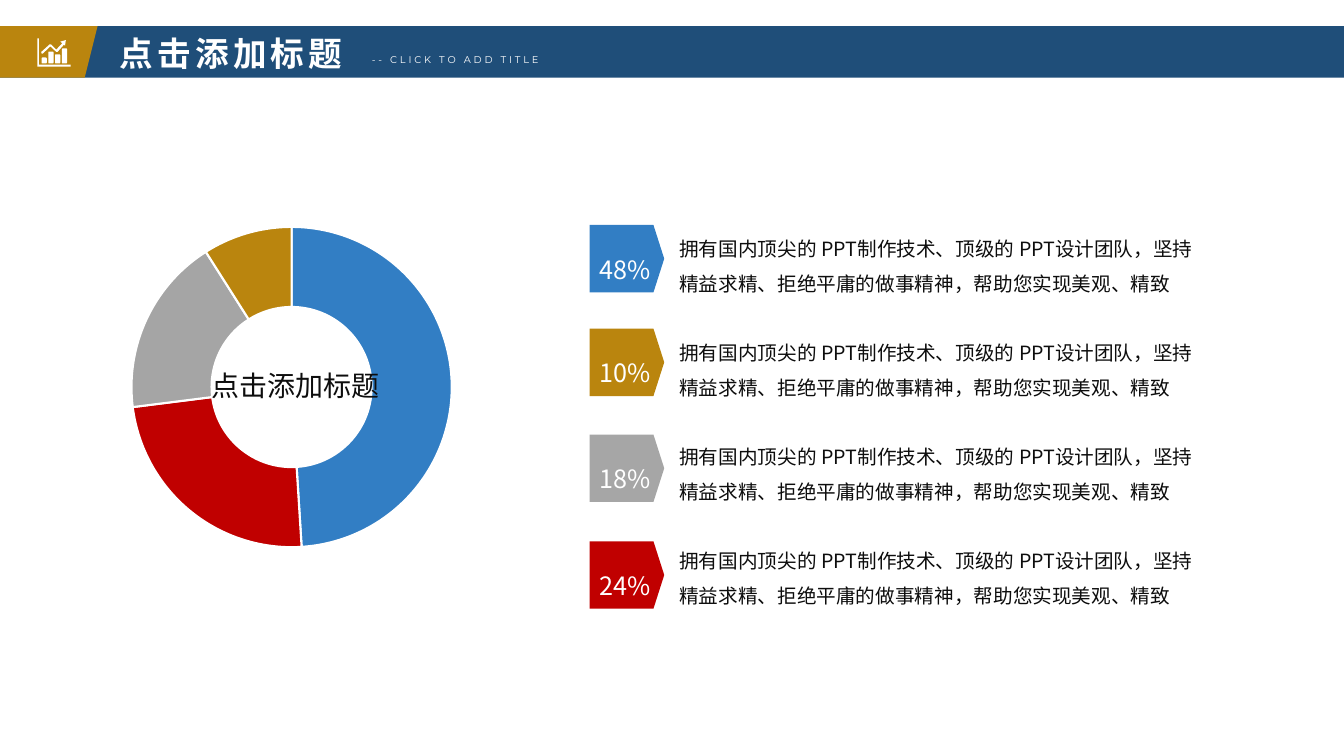
from lxml.etree import SubElement
from pptx import Presentation
from pptx.chart.data import CategoryChartData
from pptx.dml.color import RGBColor
from pptx.enum.chart import XL_CHART_TYPE as Chart
from pptx.enum.shapes import MSO_SHAPE as Shape
from pptx.enum.text import MSO_ANCHOR as Anchor
from pptx.oxml import parse_xml
from pptx.oxml.ns import nsdecls, qn
from pptx.util import Cm, Pt

THEME = {
    "white": "FFFFFF", "tint": "FCFDFE", "ink": "0D0D0D", "black": "000000",
    "navy": "1F4E79", "gold": "BA850E", "blue": "327EC4", "red": "C00000",
    "gray": "A6A6A6", "chart_gray": "A5A5A5",
    "cjk": "Noto Sans CJK SC", "latin": "Montserrat", "chart": "Calibri",
    "title": 24, "center": 20, "tag": 18, "body": 14, "chart_size": 10, "subtitle": 7,
}

TITLE = "点击添加标题"
SUBTITLE = "-- CLICK TO ADD TITLE"
BODY = "拥有国内顶尖的 PPT制作技术、顶级的 PPT设计团队，坚持精益求精、拒绝平庸的做事精神，帮助您实现美观、精致"
# label, colour, top of the tag in cm
ROWS = [("48%", "blue", 5.67), ("10%", "gold", 8.28), ("18%", "gray", 10.95), ("24%", "red", 13.64)]
SHARES = [("1", 49, "blue"), ("2", 24, "red"), ("3", 18, "chart_gray"), ("4", 9, "gold")]

# Icon geometry in cm
ICON_AXES = [(0.94, 0.97), (0.98, 0.97), (0.98, 1.63), (1.78, 1.63), (1.78, 1.68), (0.94, 1.68)]
ICON_TREND = [(1.66, 1.01), (1.52, 1.05), (1.57, 1.09), (1.42, 1.25), (1.29, 1.12),
              (1.25, 1.12), (1.04, 1.31), (1.05, 1.35), (1.08, 1.35), (1.27, 1.17),
              (1.42, 1.31), (1.45, 1.31), (1.61, 1.13), (1.64, 1.15)]
ICON_BAR_TOPS = [1.45, 1.30, 1.37, 1.22]
ICON_BAR_LEFT, ICON_BAR_STEP, ICON_BAR_WIDTH, ICON_BASE = 1.05, 0.17, 0.13, 1.6

BAND_TOP, BAND_HEIGHT = 0.66, 1.3
TAG_LEFT, TAG_WIDTH, TAG_HEIGHT = 14.86, 1.88, 1.7
BODY_LEFT, BODY_TOP, BODY_STEP = 16.87, 5.54, 2.62


def rgb(name):
    return RGBColor.from_string(THEME[name])


def paint(s, color):
    s.shadow.inherit = False
    s.fill.solid()
    s.fill.fore_color.rgb = rgb(color)
    s.line.fill.background()
    return s


def add_block(slide, kind, box, color):
    return paint(slide.shapes.add_shape(kind, *map(Cm, box)), color)


def add_outline(slide, points, color):
    start, *rest = [(Cm(x), Cm(y)) for x, y in points]
    builder = slide.shapes.build_freeform(*start)
    builder.add_line_segments(rest)
    return paint(builder.convert_to_shape(), color)


def write(tf, text, *, size, color="ink", font="cjk", bold=False, spacing=0, lines=None, wrap=True):
    """Put one formatted paragraph in a frame; spacing is tracking in points."""
    tf.word_wrap = wrap
    p = tf.paragraphs[0]
    p.alignment = 1
    p.line_spacing = lines
    r = p.add_run()
    r.text = text
    r.font.size = Pt(THEME[size])
    r.font.bold = bold
    r.font.color.rgb = rgb(color)
    r.font.name = THEME[font]
    rpr = r.font._element
    SubElement(rpr, qn("a:ea")).set("typeface", THEME[font])
    if spacing:
        rpr.set("spc", str(spacing * 100))


def add_text(slide, box, text, **style):
    write(slide.shapes.add_textbox(*map(Cm, box)).text_frame, text, **style)


def add_header(slide):
    add_block(slide, Shape.PARALLELOGRAM, (-1.19, BAND_TOP, 36.27, BAND_HEIGHT), "navy")
    add_block(slide, Shape.PARALLELOGRAM, (-1.02, BAND_TOP, 3.48, BAND_HEIGHT), "gold")
    add_text(slide, (2.77, 0.71, 7.44, 1.3), TITLE, size="title", color="white", bold=True, spacing=3)
    add_text(slide, (9.12, 1.24, 6.58, 0.56), SUBTITLE, size="subtitle", color="white",
             font="latin", spacing=2)
    for points in (ICON_AXES, ICON_TREND):
        add_outline(slide, points, "white")
    for i, top in enumerate(ICON_BAR_TOPS):
        box = (ICON_BAR_LEFT + i * ICON_BAR_STEP, top, ICON_BAR_WIDTH, ICON_BASE - top)
        add_block(slide, Shape.ROUNDED_RECTANGLE, box, "white")


def add_rows(slide):
    for i, (label, color, top) in enumerate(ROWS):
        tag = add_block(slide, Shape.PENTAGON, (TAG_LEFT, top, TAG_WIDTH, TAG_HEIGHT), color)
        tag.adjustments[0] = 0.16
        tf = tag.text_frame
        tf.vertical_anchor = Anchor.MIDDLE
        tf.margin_top, tf.margin_bottom, tf.margin_right = Cm(0.15), 0, 0
        write(tf, label, size="tag", color="white", lines=1.5)
        add_text(slide, (BODY_LEFT, BODY_TOP + i * BODY_STEP, 13.46, 2.06), BODY, size="body", lines=1.5)


def add_ring(slide):
    data = CategoryChartData()
    data.categories = [name for name, _, _ in SHARES]
    data.add_series("Series 1", [value for _, value, _ in SHARES])
    box = map(Cm, (2.77, 5.36, 9.07, 8.79))
    chart = slide.shapes.add_chart(Chart.DOUGHNUT, *box, data).chart
    chart.has_legend = chart.has_title = False
    chart.font.name = THEME["chart"]
    chart.font.size = Pt(THEME["chart_size"])
    chart.font.color.rgb = rgb("black")
    plot = chart.plots[0]
    plot.vary_by_categories = True
    plot._element.find(qn("c:holeSize")).set("val", "75")
    for i, (_, _, color) in enumerate(SHARES):
        fmt = plot.series[0].points[i].format
        fmt.fill.solid()
        fmt.fill.fore_color.rgb = rgb(color)
        fmt.line.color.rgb = rgb("white")
        fmt.line.width = Pt(1.5)
    area = chart._chartSpace.chart.plotArea
    for old in area.findall(qn("c:layout")):
        area.remove(old)
    area.insert(0, parse_xml(
        f'<c:layout {nsdecls("c")}><c:manualLayout><c:layoutTarget val="inner"/>'
        '<c:xMode val="edge"/><c:yMode val="edge"/><c:x val="0.06"/><c:y val="0.04"/>'
        '<c:w val="0.89"/><c:h val="0.92"/></c:manualLayout></c:layout>'))
    add_text(slide, (5.08, 9.17, 4.78, 1.12), TITLE, size="center", wrap=False)


def main():
    prs = Presentation()
    prs.slide_width, prs.slide_height = Cm(33.87), Cm(19.05)
    slide = prs.slides.add_slide(prs.slide_layouts[6])
    fill = slide.background.fill
    fill.gradient()
    fill.gradient_angle = 0
    for stop, color in zip(fill.gradient_stops, ("white", "tint")):
        stop.color.rgb = rgb(color)
    add_header(slide)
    add_rows(slide)
    add_ring(slide)
    prs.save("out.pptx")


if __name__ == "__main__":
    main()
